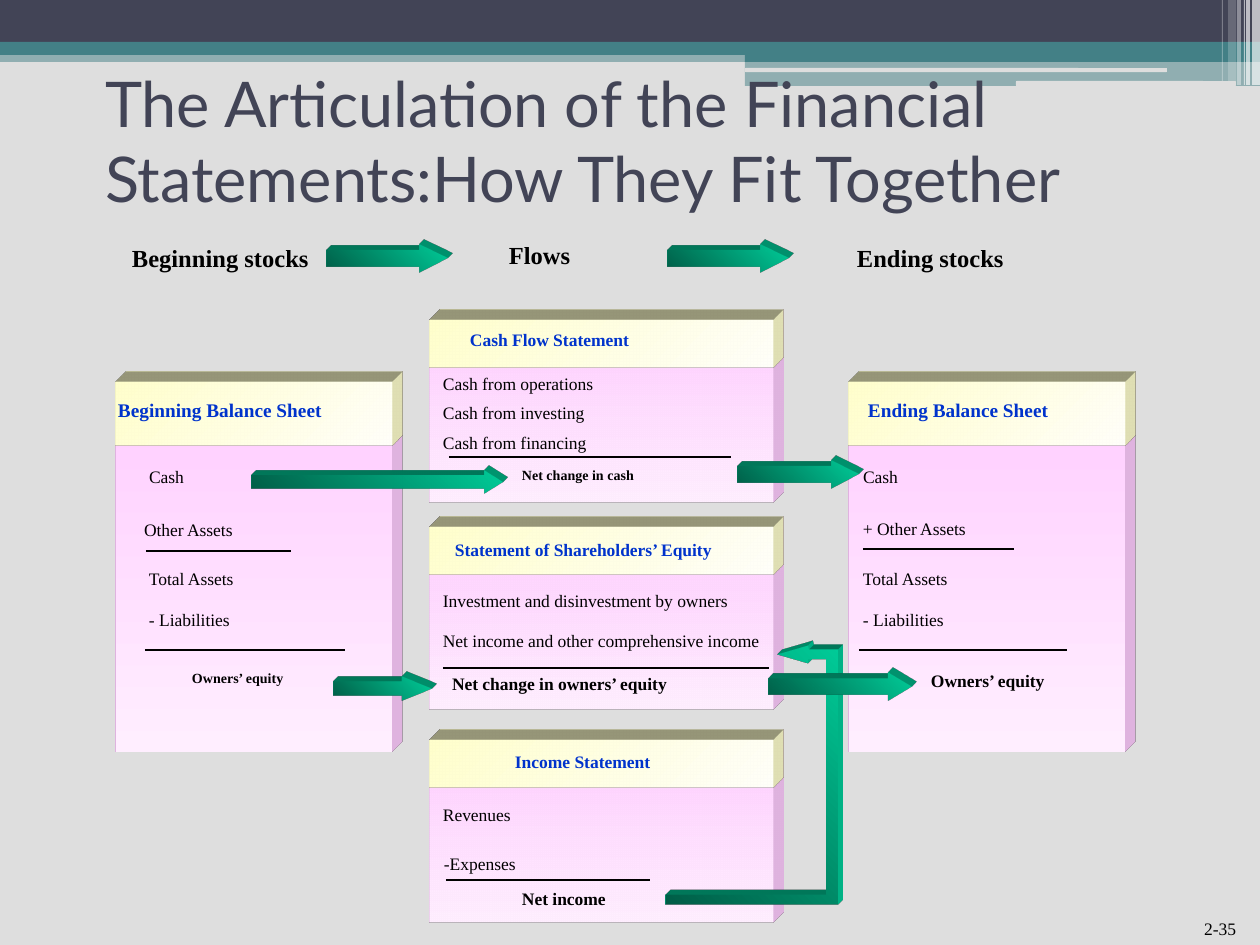
from lxml import etree
from pptx import Presentation
from pptx.dml.color import RGBColor
from pptx.enum.shapes import MSO_CONNECTOR, MSO_SHAPE
from pptx.enum.text import MSO_ANCHOR, PP_ALIGN
from pptx.oxml import parse_xml
from pptx.oxml.ns import nsdecls, qn
from pptx.util import Pt

PX = 914400 / 126  # EMU per px
SERIF = "Times New Roman"
BLUE = "0033CC"
TEAL = "438086"
GREEN = "00CC99"
PAPER = "DEDEDE"


def px(n):
    return round(n * PX)


def color(hex_text):
    return RGBColor.from_string(hex_text)


def add_rect(s, x, y, w, h, fill=None, alpha=100, shape=MSO_SHAPE.RECTANGLE):
    sp = s.shapes.add_shape(shape, px(x), px(y), px(w), px(h))
    sp.shadow.inherit = False
    sp.line.fill.background()
    if fill:
        sp.fill.solid()
        sp.fill.fore_color.rgb = color(fill)
    if alpha < 100:
        clr = sp._element.spPr.find(f"{qn('a:solidFill')}/{qn('a:srgbClr')}")
        etree.SubElement(clr, qn("a:alpha"), val=str(alpha * 1000))
    return sp


def shade(sp, start, end, angle):
    sp.fill.gradient()
    sp.fill.gradient_angle = angle
    for stop, hex_text in zip(sp.fill.gradient_stops, (start, end)):
        stop.color.rgb = color(hex_text)


def extrude(sp, depth, hex_text):
    """Give the shape an oblique depth to the top right."""
    spPr = sp._element.spPr
    spPr.append(parse_xml(
        f'<a:scene3d {nsdecls("a")}><a:camera prst="legacyObliqueTopRight"/>'
        '<a:lightRig rig="legacyFlat3" dir="b"/></a:scene3d>'))
    spPr.append(parse_xml(
        f'<a:sp3d {nsdecls("a")} extrusionH="{px(depth)}" prstMaterial="legacyMatte">'
        '<a:bevelT w="13500" h="13500" prst="angle"/>'
        '<a:bevelB w="13500" h="13500" prst="angle"/>'
        f'<a:extrusionClr><a:srgbClr val="{hex_text}"/></a:extrusionClr></a:sp3d>'))


def add_text(s, x, y, w, h, text, size=10, bold=False, fill="000000",
             font=SERIF, inset=(0, 0), anchor=MSO_ANCHOR.TOP, align=PP_ALIGN.LEFT):
    tf = s.shapes.add_textbox(px(x), px(y), px(w), px(h)).text_frame
    tf.word_wrap = True
    tf.vertical_anchor = anchor
    tf.margin_left = tf.margin_right = px(inset[0])
    tf.margin_top = tf.margin_bottom = px(inset[1])
    p = tf.paragraphs[0]
    p.text = text
    p.alignment = align
    p.font.name = font
    p.font.size = Pt(size)
    p.font.bold = bold
    p.font.color.rgb = color(fill)


def add_rule(s, x, y, w):
    line = s.shapes.add_connector(MSO_CONNECTOR.STRAIGHT, px(x), px(y), px(x + w), px(y))
    line.line.color.rgb = color("000000")
    line.line.width = Pt(0.75)
    etree.SubElement(line._element.spPr, qn("a:effectLst"))


def add_outline_arrow(s, points):
    builder = s.shapes.build_freeform(*points[0], scale=PX)
    builder.add_line_segments(points[1:], close=True)
    sp = builder.convert_to_shape()
    sp.shadow.inherit = False
    sp.line.fill.background()
    shade(sp, "005E47", GREEN, 45)
    extrude(sp, 14, GREEN)


def add_right_arrow(s, x, y, w, h, head, inset):
    neck, low, tip = x + w - head, y + h - inset, (x + w, y + h / 2)
    add_outline_arrow(s, [(neck, y), (neck, y + inset), (x, y + inset), (x, low),
                          (neck, low), (neck, y + h), tip])


def add_panel(s, box, header_h, title, items, rules):
    """Statement panel; titles, items and rules are relative to its box."""
    x, y, w, h = box
    body = add_rect(s, x, y, w, h)
    shade(body, "FFCCFF", "FFEEFF", 270)
    extrude(body, 30, "FFCCFF")
    header = add_rect(s, x, y, w, header_h)
    shade(header, "FFFFCC", "FFFFF8", 315)
    extrude(header, 30, "FFFFCC")
    tx, ty, tw, text, size = title
    add_text(s, x + tx, y + ty, tw, 22, text, size, True, BLUE)
    for ix, iy, iw, text, *style in items:
        add_text(s, x + ix, y + iy, iw, 21, text, *style)
    for rx, ry, rw in rules:
        add_rule(s, x + rx, y + ry, rw)


def add_theme_bands(s):
    for band in [(0, 50, 1260, 12, TEAL, 50), (0, 0, 1260, 42, "424456"),
                 (0, 42, 1260, 13, TEAL), (745, 49, 515, 13, TEAL),
                 (745, 61, 515, 25, TEAL, 50)]:
        add_rect(s, *band)
    for x, y, w, h in [(745, 68, 422, 4), (1016, 81, 220, 5)]:
        add_rect(s, x, y, w, h, PAPER, shape=MSO_SHAPE.ROUNDED_RECTANGLE)
    for x, w, h, alpha in [(1252, 8, 85, 65), (1246, 4, 85, 65), (1244, 1, 85, 60),
                           (1237, 4, 85, 40), (1228, 8, 81, 20), (1222, 1, 81, 30)]:
        add_rect(s, x, 0, w, h, "FFFFFF", alpha)


def add_flow_panels(s):
    x, w, h, header_h = 430, 343, 183, 48
    add_panel(s, (x, 527, w, h), header_h,
              (25, 12, 276, "Statement of Shareholders’ Equity", 10),
              [(13, 63, 305, "Investment and disinvestment by owners"),
               (13, 103, 325, "Net income and other comprehensive income"),
               (22, 146, 270, "Net change in owners’ equity", 10, True)],
              [(13, 141, 326)])
    add_panel(s, (x, 740, w, h), header_h, (85, 11, 186, "Income Statement", 10),
              [(13, 64, 73, "Revenues"), (14, 113, 88, "-Expenses"),
               (92, 148, 116, "Net income", 10, True)],
              [(16, 140, 204)])
    add_panel(s, (x, 320, w, h), header_h, (40, 9, 278, "Cash Flow Statement", 10),
              [(13, 53, 159, "Cash from operations"),
               (13, 82, 159, "Cash from investing"),
               (13, 112, 168, "Cash from financing"),
               (92, 147, 116, "Net change in cash", 8, True)],
              [(19, 137, 282)])


def add_balance_sheets(s):
    y, w, h, header_h = 382, 276, 370, 64
    add_panel(s, (116, y, w, h), header_h, (2, 16, 212, "Beginning Balance Sheet", 11),
              [(33, 84, 59, "Cash"), (28, 137, 120, "Other Assets"),
               (33, 186, 112, "Total Assets"), (33, 227, 87, "- Liabilities"),
               (76, 288, 96, "Owners’ equity", 8, True)],
              [(30, 169, 145), (29, 268, 200)])
    add_panel(s, (849, y, w, h), header_h, (19, 16, 186, "Ending Balance Sheet", 11),
              [(14, 84, 42, "Cash"), (14, 136, 111, "+ Other Assets"),
               (14, 186, 111, "Total Assets"), (14, 227, 87, "- Liabilities"),
               (82, 288, 125, "Owners’ equity", 10, True)],
              [(14, 167, 151), (10, 268, 208)])


def add_arrows(s):
    # Net income up into shareholders' equity
    add_outline_arrow(s, [(665, 895), (826, 895), (826, 659), (808, 659), (808, 663),
                          (777, 654), (808, 645), (809, 649), (838, 649), (838, 905),
                          (665, 905)])
    for arrow in [(252, 470, 251, 24, 19, 5), (334, 677, 98, 24, 30, 5),
                  (768, 673, 144, 28, 24, 6), (737, 460, 122, 29, 28, 6)]:
        add_right_arrow(s, *arrow)


def add_column_heads(s):
    for x, y, w, text in [(123, 239, 202, "Beginning stocks"), (500, 236, 190, "Flows"),
                          (848, 239, 190, "Ending stocks")]:
        add_text(s, x, y, w, 38, text, 14, True, inset=(9, 4))
    for x in (326, 667):
        add_right_arrow(s, x, 244, 122, 29, 29, 6)


def main():
    prs = Presentation()
    prs.slide_width, prs.slide_height = px(1260), px(945)
    s = prs.slides.add_slide(prs.slide_layouts[6])
    s.background.fill.solid()
    s.background.fill.fore_color.rgb = color(PAPER)
    add_theme_bands(s)
    add_text(s, 92, 84, 1076, 112,
             "The Articulation of the Financial Statements:How They Fit Together", 36,
             fill="424456", font="Lato", inset=(13, 6), anchor=MSO_ANCHOR.MIDDLE)
    add_flow_panels(s)
    add_balance_sheets(s)
    add_arrows(s)
    add_column_heads(s)
    # Page number
    add_text(s, 955, 882, 294, 63, "2-35", inset=(13, 6),
             anchor=MSO_ANCHOR.BOTTOM, align=PP_ALIGN.RIGHT)
    prs.save("out.pptx")


if __name__ == "__main__":
    main()
